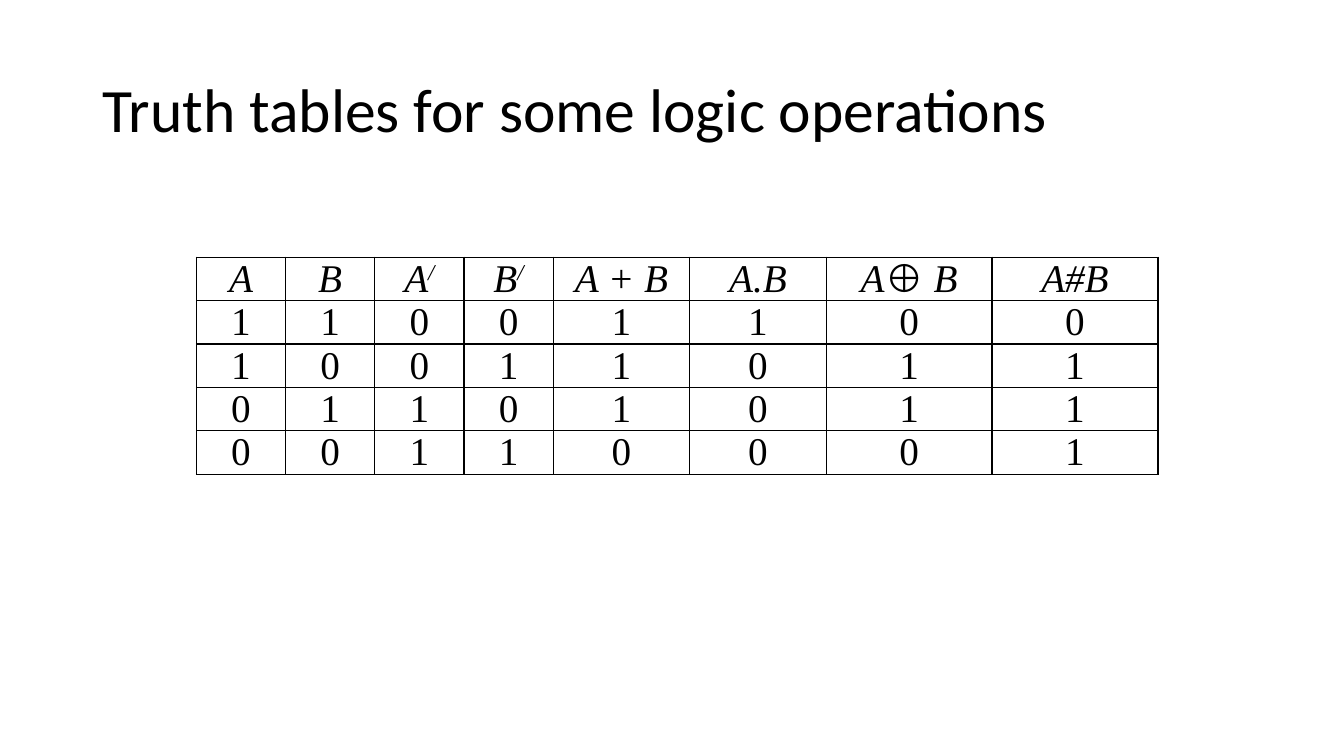
from lxml import etree
from pptx import Presentation
from pptx.dml.color import RGBColor
from pptx.enum.text import MSO_ANCHOR, MSO_AUTO_SIZE, PP_ALIGN
from pptx.oxml import parse_xml
from pptx.oxml.ns import nsdecls
from pptx.util import Pt

PX = 9525
BLACK = RGBColor(0, 0, 0)
LEFT, CENTER = PP_ALIGN.LEFT, PP_ALIGN.CENTER
MIDDLE, TOP = MSO_ANCHOR.MIDDLE, MSO_ANCHOR.TOP
NO_FIT = MSO_AUTO_SIZE.NONE

COLUMNS = [85, 85, 85, 85, 130, 130, 158, 158]
HEADERS = ["A", "B", "A/", "B/", "A + B", "A.B", "A⊕ B", "A#B"]
VALUES = ["11001100", "10011011", "01101011", "00110001"]


def px(*lengths):
    return [n * PX for n in lengths]


def style(p, font, size, align, italic=False):
    p.alignment = align
    p.font.name = font
    p.font.size = Pt(size)
    p.font.italic = italic
    p.font.color.rgb = BLACK


def add_title(s, text, box):
    sp = s.shapes.title
    sp.left, sp.top, sp.width, sp.height = px(*box)
    tf = sp.text_frame
    tf.text = text
    tf.word_wrap = True
    tf.auto_size = NO_FIT
    tf.vertical_anchor = MIDDLE
    p = tf.paragraphs[0]
    p.line_spacing = 0.9
    style(p, "Calibri", 44, LEFT)


def set_borders(cell):
    tcPr = cell._tc.get_or_add_tcPr()
    for i, side in enumerate("LRTB"):
        ln = parse_xml(f'<a:ln{side} {nsdecls("a")} w="{Pt(1)}"/>')
        fill = etree.SubElement(ln, ln.tag.replace(f"ln{side}", "solidFill"))
        etree.SubElement(fill, fill.tag.replace("solidFill", "srgbClr"), val=str(BLACK))
        tcPr.insert(i, ln)


def fill_cell(cell, text, italic):
    cell.fill.background()
    set_borders(cell)
    cell.margin_left = cell.margin_right = 6 * PX
    cell.margin_top = cell.margin_bottom = 0
    cell.vertical_anchor = TOP
    p = cell.text_frame.paragraphs[0]
    style(p, "Times New Roman", 28, CENTER, italic)
    p.add_run().text = text.rstrip("/")
    if text.endswith("/"):
        r = p.add_run()
        r.text = "/"
        r.font._element.set("baseline", "30000")


def add_truth_table(s, box):
    rows = [HEADERS, *VALUES]
    table = s.shapes.add_table(len(rows), len(COLUMNS), *px(*box)).table
    table.first_row = table.horz_banding = False
    for column, width in zip(table.columns, COLUMNS):
        column.width = width * PX
    for i, row in enumerate(rows):
        table.rows[i].height = 37 * PX
        for j, text in enumerate(row):
            fill_cell(table.cell(i, j), text, italic=i == 0)


def main():
    prs = Presentation()
    prs.slide_width, prs.slide_height = px(1280, 720)
    s = prs.slides.add_slide(prs.slide_layouts[5])
    add_title(s, "Truth tables for some logic operations", (88, 38, 1104, 139))
    add_truth_table(s, (187, 245, sum(COLUMNS), 185))
    prs.save("out.pptx")


if __name__ == "__main__":
    main()
